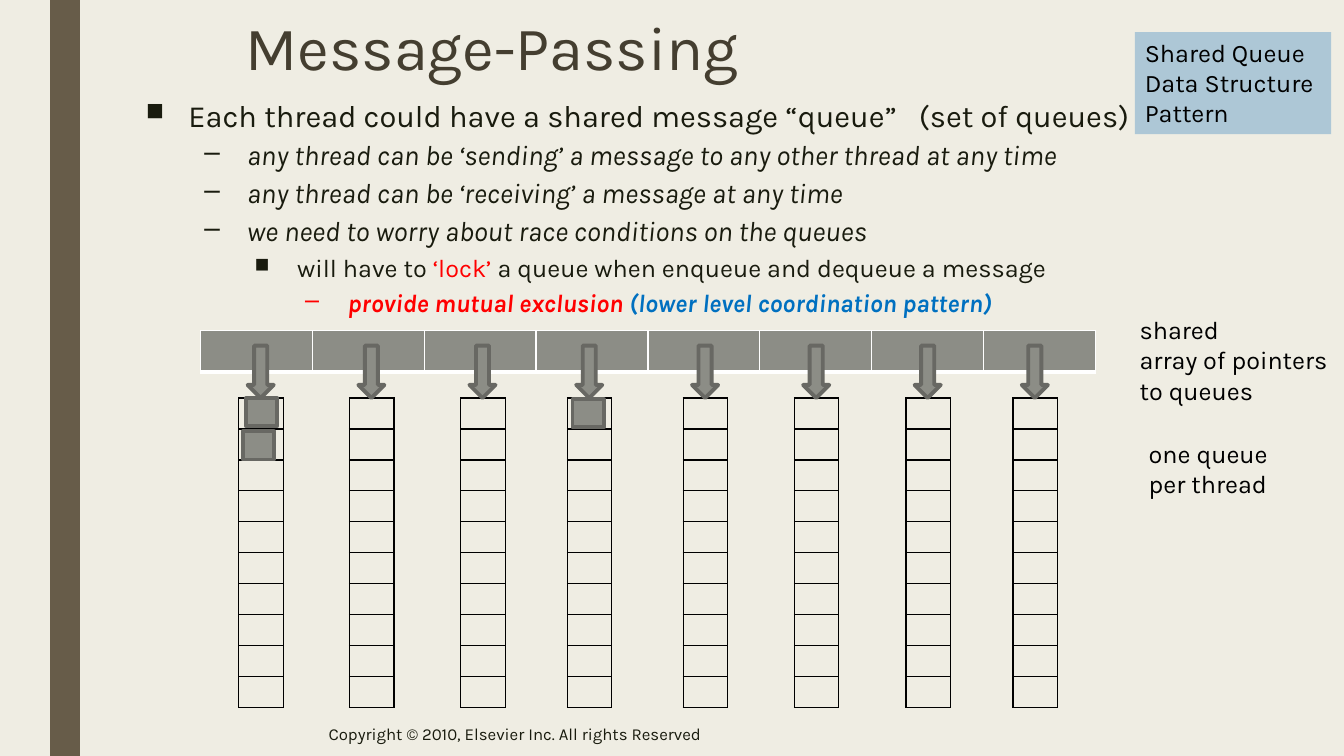
from lxml.etree import SubElement
from pptx import Presentation
from pptx.dml.color import RGBColor
from pptx.enum.shapes import MSO_SHAPE as Preset
from pptx.enum.text import MSO_ANCHOR as Anchor
from pptx.oxml.ns import qn
from pptx.util import Cm, Pt

FONT = "Karla"
BACKGROUND = RGBColor(0xEF, 0xED, 0xE3)
BROWN = RGBColor(0x67, 0x5C, 0x49)
TITLE = RGBColor(0x44, 0x3E, 0x30)
INK = RGBColor(0x19, 0x1B, 0x0E)
BLACK = RGBColor(0, 0, 0)
WHITE = RGBColor(0xFF, 0xFF, 0xFF)
RED = RGBColor(0xFF, 0, 0)
BLUE = RGBColor(0, 0x70, 0xC0)
PALE_BLUE = RGBColor(0xAD, 0xC7, 0xD6)
GREY = RGBColor(0x8C, 0x8D, 0x86)
DARK_GREY = RGBColor(0x68, 0x68, 0x63)

QUEUE_LEFTS = [6.02, 8.81, 11.61, 14.3, 17.22, 20.02, 22.83, 25.53]
QUEUE_TOP = 10.03
QUEUE_LENGTH = 10
MESSAGES = [(6.2, 10.03), (14.43, 10.06), (6.12, 10.87)]
TAB_STOP = 19.48

LEVEL_STYLES = [
    (1.07, "■", 80, 22, False, False),
    (2.54, "–", 100, 20, True, False),
    (3.81, "■", 80, 18, False, False),
    (5.08, "–", 100, 18, True, True),
]
BULLETS = [
    (0, [("Each thread could have a shared message “queue”\t(set of queues)", INK)]),
    (1, [("any thread can be ‘sending’ a message to any other thread at any time", INK)]),
    (1, [("any thread can be ‘receiving’ a message at any time", INK)]),
    (1, [("we need to worry about race conditions on the queues", INK)]),
    (2, [("will have to ", INK), ("‘lock’", RED),
         (" a queue when enqueue and dequeue a message", INK)]),
    (3, [("provide mutual exclusion ", RED),
         ("(lower level coordination pattern)", BLUE)]),
]


def box(left, top, width, height):
    return Cm(left), Cm(top), Cm(width), Cm(height)


def style_paragraph(paragraph, size, color):
    paragraph.font.name = FONT
    paragraph.font.size = Pt(size)
    paragraph.font.color.rgb = color


def add_text(slide, place, text, size, color=BLACK, anchor=Anchor.TOP, spacing=None, fill=None):
    shape = slide.shapes.add_textbox(*box(*place))
    if fill is not None:
        shape.fill.solid()
        shape.fill.fore_color.rgb = fill
    frame = shape.text_frame
    frame.word_wrap = True
    frame.vertical_anchor = anchor
    frame.text = text
    for paragraph in frame.paragraphs:
        style_paragraph(paragraph, size, color)
        if spacing:
            paragraph.line_spacing = spacing


def add_shape(slide, preset, place, fill, line):
    shape = slide.shapes.add_shape(preset, *box(*place))
    shape.shadow.inherit = False
    shape.fill.solid()
    shape.fill.fore_color.rgb = fill
    shape.line.color.rgb = line
    shape.line.width = Pt(2.75)


def add_bullets(slide, place):
    frame = slide.shapes.add_textbox(*box(*place)).text_frame
    frame.word_wrap = True
    for index, (level, runs) in enumerate(BULLETS):
        indent, mark, mark_percent, size, italic, bold = LEVEL_STYLES[level]
        paragraph = frame.paragraphs[0] if index == 0 else frame.add_paragraph()
        paragraph.level = level
        properties = paragraph._p.get_or_add_pPr()
        properties.set("marL", str(Cm(indent)))
        properties.set("indent", str(Cm(-1.07)))
        SubElement(properties, qn("a:buSzPct"), val=str(mark_percent * 1000))
        SubElement(properties, qn("a:buChar"), char=mark)
        if any("\t" in text for text, _ in runs):
            stops = SubElement(properties, qn("a:tabLst"))
            SubElement(stops, qn("a:tab"), pos=str(Cm(TAB_STOP)), algn="l")
        paragraph.line_spacing = 0.84
        paragraph.space_before = Pt(5 if index else 0)
        paragraph.space_after = Pt(2)
        style_paragraph(paragraph, size, INK)
        paragraph.font.italic = italic
        paragraph.font.bold = bold
        for text, color in runs:
            run = paragraph.add_run()
            run.text = text
            run.font.color.rgb = color


def style_cell(cell, fill, border, bottom_width):
    cell.margin_left = cell.margin_right = cell.margin_top = cell.margin_bottom = 0
    SubElement(cell.text_frame.paragraphs[0]._p, qn("a:endParaRPr"), sz="1000")
    properties = cell._tc.get_or_add_tcPr()
    for side, width in (("L", 1), ("R", 1), ("T", 1), ("B", bottom_width)):
        line = SubElement(properties, qn(f"a:ln{side}"), w=str(Pt(width)))
        solid = SubElement(line, qn("a:solidFill"))
        SubElement(solid, qn("a:srgbClr"), val=str(border))
    if fill is None:
        cell.fill.background()
    else:
        cell.fill.solid()
        cell.fill.fore_color.rgb = fill


def add_cells(slide, left, top, rows, columns, width, height, border, fill=None, bottom_width=1):
    place = box(left, top, columns * width, rows * height)
    table = slide.shapes.add_table(rows, columns, *place).table
    table.first_row = table.horz_banding = False
    for row in table.rows:
        row.height = Cm(height)
    for column in table.columns:
        column.width = Cm(width)
    for cell in table.iter_cells():
        style_cell(cell, fill, border, bottom_width)


def main():
    presentation = Presentation()
    presentation.slide_width = Cm(33.87)
    presentation.slide_height = Cm(19.05)
    slide = presentation.slides.add_slide(presentation.slide_layouts[6])
    slide.background.fill.solid()
    slide.background.fill.fore_color.rgb = BACKGROUND

    add_shape(slide, Preset.RECTANGLE, (1.32, 0, 0.64, 19.05), BROWN, BROWN)
    add_text(slide, (5.94, 0.3, 23.01, 1.96), "Message-Passing", 44, TITLE, Anchor.MIDDLE, 0.89)
    add_bullets(slide, (3.43, 2.46, 26.67, 5.69))
    add_text(slide, (8.03, 17.93, 17.45, 1.12),
             "Copyright © 2010, Elsevier Inc. All rights Reserved", 12, INK, Anchor.MIDDLE)

    add_cells(slide, 5.05, 8.33, 1, len(QUEUE_LEFTS), 2.82, 1.04, WHITE, GREY, 3)
    for left in QUEUE_LEFTS:
        add_cells(slide, left, QUEUE_TOP, QUEUE_LENGTH, 1, 1.12, 0.78, BLACK)
        add_shape(slide, Preset.DOWN_ARROW, (left + 0.22, 8.71, 0.66, 1.32), GREY, DARK_GREY)
    for left, top in MESSAGES:
        add_shape(slide, Preset.RECTANGLE, (left, top, 0.79, 0.71), GREY, DARK_GREY)

    add_text(slide, (28.47, 7.8, 5.35, 2.57), "shared\varray of pointers\vto queues", 18)
    add_text(slide, (28.7, 10.92, 4.4, 1.8), "one queue\vper thread", 18)
    add_text(slide, (28.6, 0.81, 4.95, 2.57), "Shared Queue\nData Structure\nPattern", 18,
             fill=PALE_BLUE)
    presentation.save("out.pptx")


if __name__ == "__main__":
    main()
